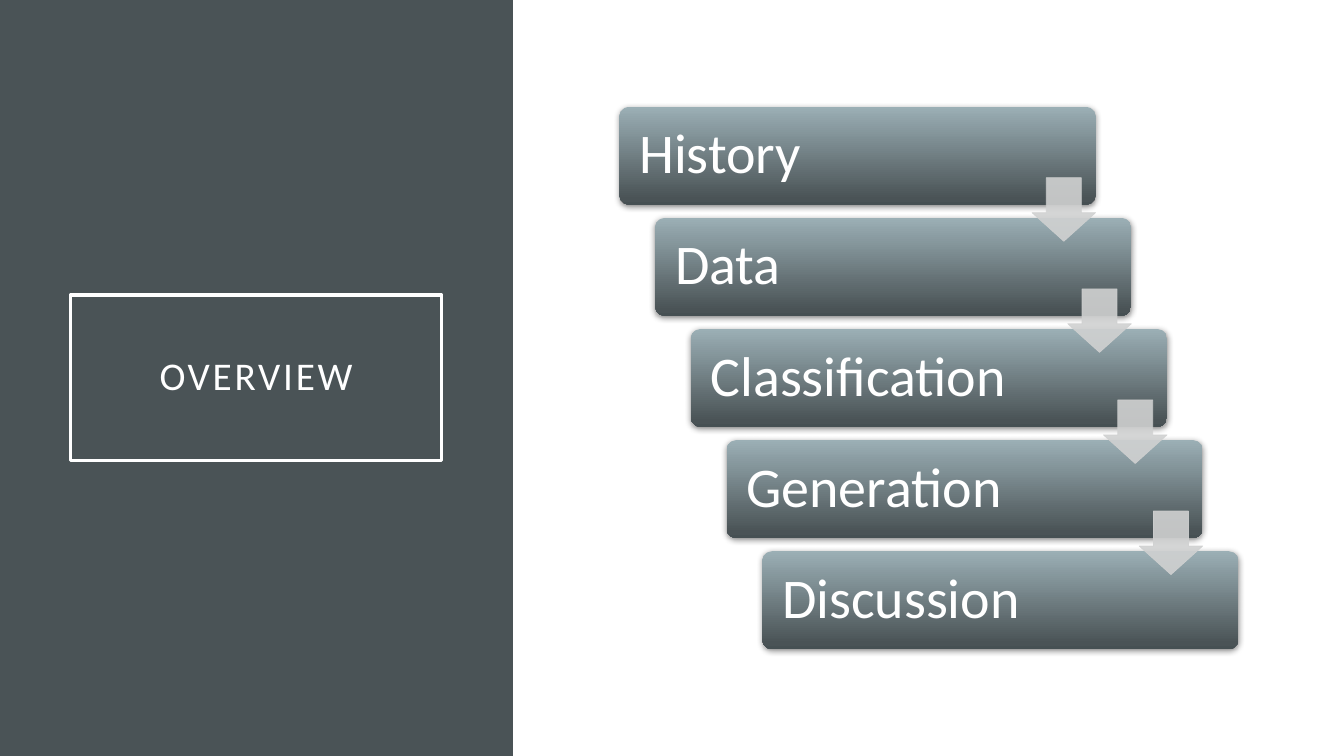
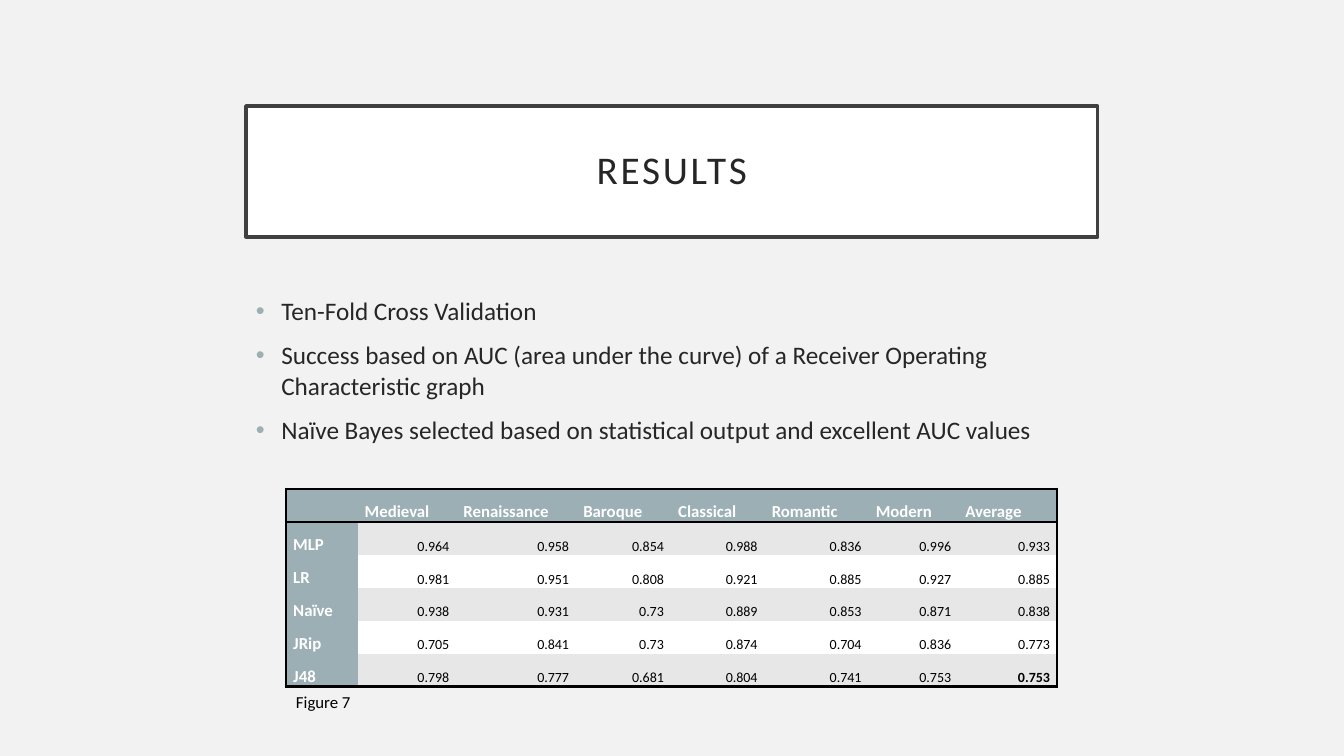
from copy import deepcopy
from lxml.etree import SubElement as Sub
from pptx import Presentation
from pptx.dml.color import RGBColor as RGB
from pptx.enum.shapes import MSO_SHAPE as Shape
from pptx.enum.text import MSO_ANCHOR as Anchor, PP_ALIGN as Align
from pptx.oxml.ns import qn
from pptx.util import Cm, Pt

# Content
STEPS = ["History", "Data", "Classification", "Generation", "Discussion"]
POINTS = [
    "Ten-Fold Cross Validation",
    "Success based on AUC (area under the curve) of a Receiver Operating "
    "Characteristic graph",
    "Naïve Bayes selected based on statistical output and excellent AUC values",
]
SCORES = [
    ("", "Medieval", "Renaissance", "Baroque", "Classical", "Romantic", "Modern", "Average"),
    ("MLP", "0.964", "0.958", "0.854", "0.988", "0.836", "0.996", "0.933"),
    ("LR", "0.981", "0.951", "0.808", "0.921", "0.885", "0.927", "0.885"),
    ("Naïve", "0.938", "0.931", "0.73", "0.889", "0.853", "0.871", "0.838"),
    ("JRip", "0.705", "0.841", "0.73", "0.874", "0.704", "0.836", "0.773"),
    ("J48", "0.798", "0.777", "0.681", "0.804", "0.741", "0.753", "0.753"),
]
WIDTHS = [1.8, 2.49, 3.02, 2.39, 2.36, 2.62, 2.26, 2.49]

# Shared style
FONT = "Calibri"
HEX = {
    "white": "FFFFFF", "black": "000000", "pale": "F2F2F2", "ink": "262626",
    "frame": "404040", "slate": "4A5356", "deep": "465053", "mist": "9BAFB5",
    "arrow": "D0D1D1", "band": "E7E7E7",
}
PLAIN = "{2D5ABB26-0587-4C30-8999-92F81FD0307C}"  # table style without grid


def color(name):
    return RGB.from_string(HEX[name])


def paint(fill, name):
    fill.solid()
    fill.fore_color.rgb = color(name)


def write(para, text, size, name, bold=False):
    para.text = text
    font = para.font
    font.name, font.size, font.bold = FONT, Pt(size), bold
    font.color.rgb = color(name)


def inset(frame, side, top):
    frame.margin_left = frame.margin_right = Cm(side)
    frame.margin_top = frame.margin_bottom = Cm(top)


def draw(slide, kind, box, fill=None, line=None, width=1):
    shape = slide.shapes.add_shape(kind, *map(Cm, box))
    shape.shadow.inherit = False
    if fill:
        paint(shape.fill, fill)
    else:
        shape.fill.background()
    if line:
        paint(shape.line.fill, line)
        shape.line.width = Pt(width)
    else:
        shape.line.fill.background()
    return shape


def text_box(slide, box):
    frame = slide.shapes.add_textbox(*map(Cm, box)).text_frame
    frame.word_wrap = True
    return frame


def add_title(slide, text, box, ink, line, fill=None):
    frame = draw(slide, Shape.RECTANGLE, box, fill, line, 2.5).text_frame
    frame.word_wrap = True
    frame.vertical_anchor = Anchor.MIDDLE
    inset(frame, 0.5, 0.5)
    para = frame.paragraphs[0]
    write(para, text, 28, ink)
    para.alignment, para.line_spacing = Align.CENTER, 0.9
    para.font._element.set("spc", "200")


def new_slide(deck, back):
    slide = deck.slides.add_slide(deck.slide_layouts[6])
    paint(slide.background.fill, back)
    return slide


# Staircase parts
def shade(shape):
    fill = shape.fill
    fill.gradient()
    fill.gradient_angle = 270
    stops = fill.gradient_stops
    last = stops[1]._element
    last.addnext(deepcopy(last))
    parts = [(0, "mist"), (0.94, "slate"), (1, "deep")]
    for stop, (place, name) in zip(fill.gradient_stops, parts):
        stop.position = place
        stop.color.rgb = color(name)


def cast(shape):
    effect = shape._element.spPr.find(qn("a:effectLst"))
    outer = Sub(effect, qn("a:outerShdw"), blurRad=str(Pt(4.4)),
                dist=str(Pt(1.2)), dir="5400000", rotWithShape="0")
    tint = Sub(outer, qn("a:srgbClr"), val=HEX["black"])
    Sub(tint, qn("a:alpha"), val="45000")


def add_step(slide, text, box):
    step = draw(slide, Shape.ROUNDED_RECTANGLE, box)
    step.adjustments[0] = 0.1
    shade(step)
    cast(step)
    frame = step.text_frame
    frame.vertical_anchor = Anchor.MIDDLE
    inset(frame, 0.43, 0.43)
    para = frame.paragraphs[0]
    write(para, text, 40, "white")
    para.alignment, para.line_spacing = Align.LEFT, 0.9


def add_arrow(slide, box):
    arrow = draw(slide, Shape.DOWN_ARROW, box, "arrow", "arrow", 0.5)
    arrow.adjustments[0], arrow.adjustments[1] = 0.55, 0.45
    for tint in arrow._element.spPr.iter(qn("a:srgbClr")):
        Sub(tint, qn("a:alpha"), val="90000")


# Bullets and table parts
def add_bullet(para):
    props = para._p.get_or_add_pPr()
    props.set("marL", str(Cm(0.64)))
    props.set("indent", str(-Cm(0.64)))
    tint = Sub(Sub(props, qn("a:buClr")), qn("a:srgbClr"))
    tint.set("val", HEX["mist"])
    Sub(props, qn("a:buFont"), typeface="Arial")
    Sub(props, qn("a:buChar"), char="•")


def add_edge(cell, side, width):
    props = cell._tc.get_or_add_tcPr()
    edge = Sub(props, qn("a:ln" + side), w=str(Pt(width)))
    Sub(Sub(edge, qn("a:solidFill")), qn("a:srgbClr"), val=HEX["black"])


def fill_cell(cell, text, row, col):
    end, foot = len(WIDTHS) - 1, len(SCORES) - 1
    edges = [("L", col == 0, 2.25), ("R", col == end, 2.25),
             ("T", row == 0, 2.25), ("B", row in (0, foot), 2.25 if row else 2)]
    for side, shown, width in edges:
        if shown:
            add_edge(cell, side, width)
    head = row == 0 or col == 0
    paint(cell.fill, "mist" if head else "band" if row % 2 else "white")
    inset(cell, 0.18, 0)
    cell.vertical_anchor = Anchor.BOTTOM
    para = cell.text_frame.paragraphs[0]
    if head:
        write(para, text, 12, "white", True)
    else:
        write(para, text, 10, "black", (row, col) == (foot, end))
        para.alignment = Align.RIGHT
    para.line_spacing = 1.5


def add_scores(slide, left, top, tall):
    size = len(SCORES), len(WIDTHS)
    box = left, top, sum(WIDTHS), tall * len(SCORES)
    table = slide.shapes.add_table(*size, *map(Cm, box)).table
    table.horz_banding = False
    table._tbl.tblPr.find(qn("a:tableStyleId")).text = PLAIN
    for column, width in zip(table.columns, WIDTHS):
        column.width = Cm(width)
    for r, row in enumerate(SCORES):
        table.rows[r].height = Cm(tall)
        for c, text in enumerate(row):
            fill_cell(table.cell(r, c), text, r, c)


# Slides
def overview(deck):
    slide = new_slide(deck, "white")
    draw(slide, Shape.RECTANGLE, (0, 0, 12.93, 19.05), "slate")
    add_title(slide, "OVERVIEW", (1.78, 7.44, 9.35, 4.17), "white", "white")
    wide, tall, tip = 12, 2.47, 1.6
    spots = [(15.61 + 0.9 * i, 2.69 + 2.8 * i) for i in range(len(STEPS))]
    for text, (x, y) in zip(STEPS, spots):
        add_step(slide, text, (x, y, wide, tall))
    for x, y in spots[:-1]:
        add_arrow(slide, (x + wide - tip, y + 1.79, tip, tip))


def results(deck):
    slide = new_slide(deck, "pale")
    add_title(slide, "RESULTS", (6.2, 2.67, 21.46, 3.3), "ink", "frame", "white")
    frame = text_box(slide, (6.2, 7.32, 21.46, 8.61))
    for i, text in enumerate(POINTS):
        para = frame.add_paragraph() if i else frame.paragraphs[0]
        para.space_before = Pt(10)
        add_bullet(para)
        write(para, text, 18, "ink")
    add_scores(slide, 7.21, 12.32, 0.83)
    note = text_box(slide, (7.21, 17.3, 6.32, 0.76))
    write(note.paragraphs[0], "Figure 7", 12, "black")


def main():
    deck = Presentation()
    deck.slide_width, deck.slide_height = Cm(33.87), Cm(19.05)
    overview(deck)
    results(deck)
    deck.save("out.pptx")


if __name__ == "__main__":
    main()
